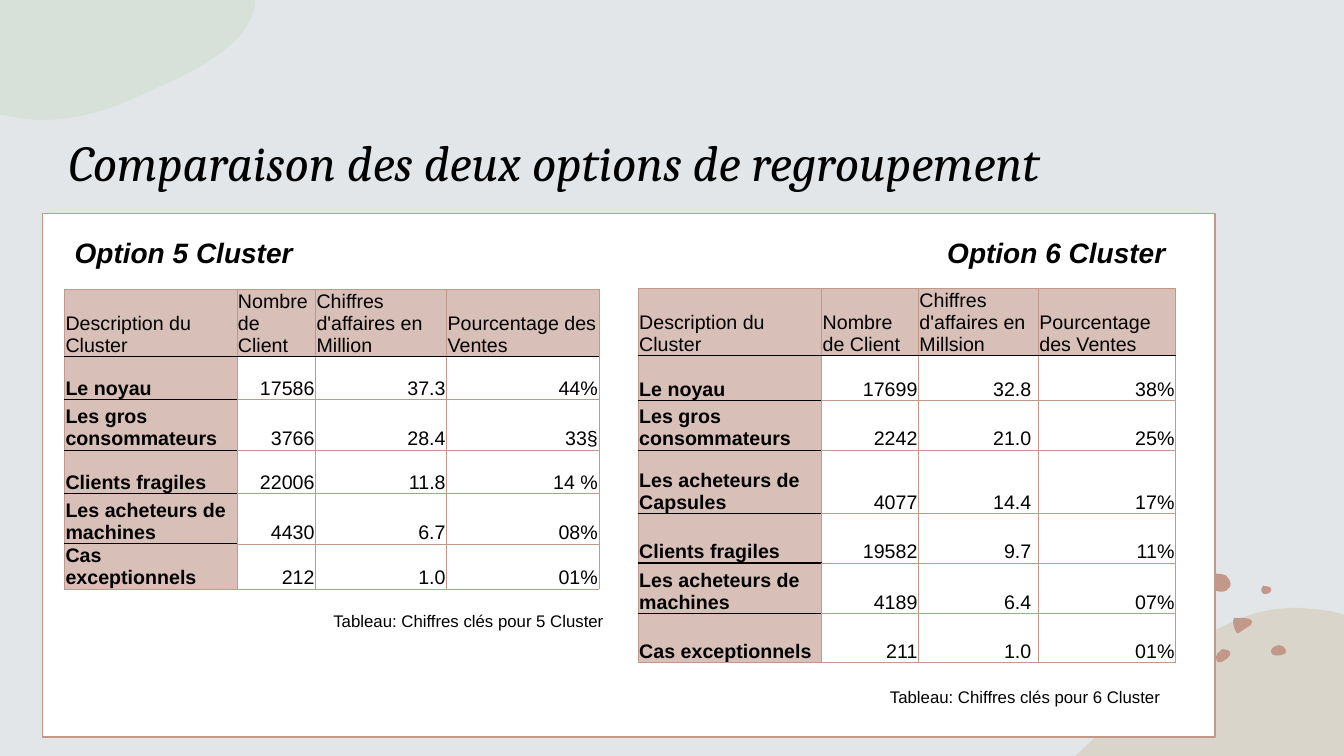
from dataclasses import dataclass

from lxml import etree
from pptx import Presentation
from pptx.dml.color import RGBColor
from pptx.enum import shapes as kinds, text as txt
from pptx.oxml import ns
from pptx.util import Inches, Pt


@dataclass(frozen=True)
class Theme:
    background: str = "E2E6E8"
    panel: str = "FFFFFF"
    ink: str = "000000"
    clay: str = "C29889"
    label: str = "D8BFB7"
    sand: str = "D1C5AD"
    sage: str = "CDDECC"
    heading_font: str = "Cambria"
    body_font: str = "Arial"
    title_size: int = 36
    option_size: int = 20
    cell_size: int = 14
    caption_size: int = 12


THEME = Theme()
LEFT, RIGHT = txt.PP_ALIGN.LEFT, txt.PP_ALIGN.RIGHT


def draw_blob(shapes, color, start, segments, alpha=None):
    """Outline of lines (x, y) and cubic curves (x1, y1, x2, y2, x, y), in inches."""
    outline = shapes.build_freeform(Inches(start[0]), Inches(start[1]))
    outline.add_line_segments([(Inches(s[-2]), Inches(s[-1])) for s in segments], close=True)
    blob = outline.convert_to_shape()
    left, top = blob.left, blob.top
    for line, segment in zip(list(blob.element.iter(ns.qn("a:lnTo"))), segments):
        if len(segment) == 6:
            curve = etree.Element(ns.qn("a:cubicBezTo"))
            for x, y in zip(segment[::2], segment[1::2]):
                etree.SubElement(curve, ns.qn("a:pt"),
                                 x=str(Inches(x) - left), y=str(Inches(y) - top))
            line.getparent().replace(line, curve)
    blob.shadow.inherit = False
    blob.line.fill.background()
    blob.fill.solid()
    blob.fill.fore_color.rgb = RGBColor.from_string(color)
    if alpha:
        srgb = blob.fill._xPr.find(".//" + ns.qn("a:srgbClr"))
        etree.SubElement(srgb, ns.qn("a:alpha"), val=str(alpha * 1000))


def write(frame, content, size, align=LEFT, font=THEME.body_font, bold=False, italic=False):
    frame.word_wrap = True
    for index, line in enumerate(content.split("\n")):
        paragraph = frame.add_paragraph() if index else frame.paragraphs[0]
        paragraph.alignment = align
        paragraph.space_before = Pt(0)
        run = paragraph.add_run()
        run.text = line
        run.font.name, run.font.size = font, Pt(size)
        run.font.bold, run.font.italic = bold, italic
        run.font.color.rgb = RGBColor.from_string(THEME.ink)


prs = Presentation()
prs.slide_width, prs.slide_height = Inches(13.33), Inches(7.5)
slide = prs.slides.add_slide(prs.slide_layouts.get_by_name("Comparison"))
slide.background.fill.solid()
slide.background.fill.fore_color.rgb = RGBColor.from_string(THEME.background)

# Corner blobs and pebbles
draw_blob(slide.shapes, THEME.sand, (12.88, 6.03), [
    (13.01, 6.04, 13.14, 6.05, 13.27, 6.08), (13.33, 6.1), (13.33, 7.5), (10.67, 7.5),
    (10.68, 7.49), (11.02, 7.16, 11.37, 6.84, 11.69, 6.54),
    (11.91, 6.32, 12.14, 6.19, 12.37, 6.11), (12.54, 6.05, 12.71, 6.03, 12.88, 6.03)], 50)
pebbles = [
    ((12.13, 6.44), [(12.15, 6.44, 12.16, 6.44, 12.18, 6.45), (12.2, 6.46, 12.21, 6.48, 12.2, 6.5),
                     (12.18, 6.53, 12.12, 6.58, 12.08, 6.57),
                     (12.07, 6.56, 12.06, 6.54, 12.06, 6.52),
                     (12.06, 6.5, 12.08, 6.47, 12.1, 6.46),
                     (12.11, 6.45, 12.12, 6.44, 12.13, 6.44)]),
    ((12.69, 6.4), [(12.71, 6.4, 12.74, 6.42, 12.75, 6.44), (12.76, 6.46, 12.76, 6.48, 12.73, 6.49),
                    (12.7, 6.51, 12.62, 6.51, 12.61, 6.48), (12.6, 6.46, 12.61, 6.44, 12.62, 6.43),
                    (12.64, 6.41, 12.66, 6.4, 12.69, 6.4)]),
    ((12.01, 5.81), [(12, 5.81, 11.99, 5.75, 12.02, 5.72), (12.04, 5.7, 12.04, 5.69, 12.07, 5.69),
                     (12.1, 5.69, 12.14, 5.7, 12.16, 5.71), (12.18, 5.73, 12.22, 5.78, 12.2, 5.82),
                     (12.17, 5.85, 12.16, 5.87, 12.12, 5.87),
                     (12.09, 5.87, 12.04, 5.86, 12.03, 5.84),
                     (12.01, 5.83, 12.01, 5.82, 12.01, 5.81)]),
    ((12.51, 5.86), [(12.51, 5.86, 12.51, 5.82, 12.53, 5.81),
                     (12.55, 5.81, 12.56, 5.81, 12.58, 5.82),
                     (12.59, 5.82, 12.61, 5.83, 12.61, 5.85),
                     (12.61, 5.86, 12.6, 5.88, 12.59, 5.88),
                     (12.59, 5.88, 12.59, 5.89, 12.57, 5.89),
                     (12.56, 5.89, 12.54, 5.9, 12.53, 5.89),
                     (12.52, 5.87, 12.51, 5.87, 12.51, 5.86)]),
    ((12.28, 6.13), [(12.34, 6.13, 12.45, 6.13, 12.41, 6.19),
                     (12.41, 6.2, 12.4, 6.21, 12.39, 6.21),
                     (12.36, 6.23, 12.33, 6.25, 12.3, 6.27),
                     (12.29, 6.28, 12.28, 6.29, 12.27, 6.28),
                     (12.27, 6.28, 12.26, 6.27, 12.26, 6.27),
                     (12.24, 6.23, 12.23, 6.2, 12.23, 6.16),
                     (12.23, 6.15, 12.23, 6.14, 12.24, 6.13),
                     (12.24, 6.13, 12.25, 6.13, 12.25, 6.13),
                     (12.26, 6.13, 12.27, 6.13, 12.28, 6.13)]),
]
scatter = slide.shapes.add_group_shape()
for start, segments in pebbles:
    draw_blob(scatter.shapes, THEME.clay, start, segments)
draw_blob(slide.shapes, THEME.sage, (0, 0), [
    (2.53, 0), (2.53, 0.06), (2.45, 0.44, 2, 0.67, 1.58, 0.86),
    (1.23, 1.03, 0.86, 1.19, 0.41, 1.19), (0.31, 1.19, 0.22, 1.18, 0.13, 1.16),
    (0, 1.14), (0, 0)], 50)

panel = slide.shapes.add_shape(kinds.MSO_SHAPE.RECTANGLE, Inches(0.42), Inches(2.12),
                               Inches(11.63), Inches(5.19))
panel.shadow.inherit = False
panel.fill.solid()
panel.fill.fore_color.rgb = RGBColor.from_string(THEME.panel)
panel.line.color.rgb = RGBColor.from_string(THEME.clay)
panel.line.width = Pt(1)

# Headings, brought in front of the panel
holders = {holder.placeholder_format.idx: holder for holder in slide.placeholders}
for unused in (2, 4):
    holders[unused].element.getparent().remove(holders[unused].element)
headings = [
    (0, (0.58, 0.5, 11.02, 1.45), "Comparaison des deux options de regroupement",
     THEME.title_size, LEFT, THEME.heading_font, False),
    (1, (0.64, 1.87, 5.3, 0.85), "Option 5 Cluster", THEME.option_size, LEFT,
     THEME.body_font, True),
    (3, (6.33, 1.87, 5.33, 0.85), "Option 6 Cluster", THEME.option_size, RIGHT,
     THEME.body_font, True),
]
for idx, place, content, size, align, font, bold in headings:
    heading = holders[idx]
    panel.element.getparent().append(heading.element)
    heading.left, heading.top, heading.width, heading.height = map(Inches, place)
    heading.text_frame.auto_size = txt.MSO_AUTO_SIZE.NONE
    heading.text_frame.vertical_anchor = txt.MSO_ANCHOR.BOTTOM
    write(heading.text_frame, content, size, align, font, bold, italic=True)

# Key figures: left, top, column widths, row heights, revenue right margin, rows
options = [
    (0.64, 2.87, [1.71, 0.78, 1.3, 1.51], [0.65, 0.43, 0.5, 0.43, 0.5, 0.44], 0.01, [
        ("Description du Cluster", "Nombre de Client", "Chiffres d'affaires en Million",
         "Pourcentage des Ventes"),
        ("Le noyau", "17586", "37.3", "44%"),
        ("Les gros consommateurs", "3766", "28.4", "33§"),
        ("Clients fragiles", "22006", "11.8", "14 %"),
        ("Les acheteurs de machines", "4430", "6.7", "08%"),
        ("Cas exceptionnels", "212", "1.0", "01%")]),
    (6.33, 2.86, [1.82, 0.96, 1.19, 1.36], [0.66, 0.45, 0.49, 0.63, 0.49, 0.5, 0.49], 0.07, [
        ("Description du\nCluster", "Nombre\nde Client", "Chiffres\nd'affaires en Millsion",
         "Pourcentage des Ventes"),
        ("Le noyau", "17699", "32.8", "38%"),
        ("Les gros consommateurs", "2242", "21.0", "25%"),
        ("Les acheteurs de Capsules", "4077", "14.4", "17%"),
        ("Clients fragiles", "19582", "9.7", "11%"),
        ("Les acheteurs de machines", "4189", "6.4", "07%"),
        ("Cas exceptionnels", "211", "1.0", "01%")]),
]
for left, top, widths, heights, revenue_margin, rows in options:
    figures = slide.shapes.add_table(len(rows), len(widths), Inches(left), Inches(top),
                                     Inches(sum(widths)), Inches(sum(heights))).table
    figures.first_row = figures.horz_banding = False
    for column, width in zip(figures.columns, widths):
        column.width = Inches(width)
    for row, height in zip(figures.rows, heights):
        row.height = Inches(height)
    for r, row in enumerate(rows):
        for c, content in enumerate(row):
            cell = figures.cell(r, c)
            is_header, is_label = r == 0, c == 0
            cell.vertical_anchor = txt.MSO_ANCHOR.BOTTOM
            cell.margin_left = cell.margin_top = Inches(0.01)
            cell.margin_right = Inches(revenue_margin if c == 2 and not is_header else 0.01)
            cell.margin_bottom = 0
            black_sides = {"T": r == 1 or (is_label and r > 1),
                           "B": is_header or (is_label and r < len(rows) - 1)}
            for side in "LRTB":
                color, weight = (THEME.ink, 1) if black_sides.get(side) else (THEME.clay, 0.5)
                border = etree.SubElement(cell._tc.get_or_add_tcPr(), ns.qn("a:ln" + side),
                                          w=str(Pt(weight)))
                fill = etree.SubElement(border, ns.qn("a:solidFill"))
                etree.SubElement(fill, ns.qn("a:srgbClr"), val=color)
            cell.fill.solid()
            cell.fill.fore_color.rgb = RGBColor.from_string(
                THEME.label if is_header or is_label else THEME.panel)
            write(cell.text_frame, content, THEME.cell_size,
                  LEFT if is_header or is_label else RIGHT, bold=is_label and not is_header)

for left, top, clusters in [(-0.09, 6.01, 5), (5.43, 6.76, 6)]:
    caption = slide.shapes.add_textbox(Inches(left), Inches(top), Inches(6.23), Inches(0.3))
    caption.text_frame.auto_size = txt.MSO_AUTO_SIZE.SHAPE_TO_FIT_TEXT
    caption.text_frame.margin_right = Inches(0.15)
    write(caption.text_frame, f"Tableau: Chiffres clés pour {clusters} Cluster",
          THEME.caption_size, RIGHT)

prs.save("out.pptx")
